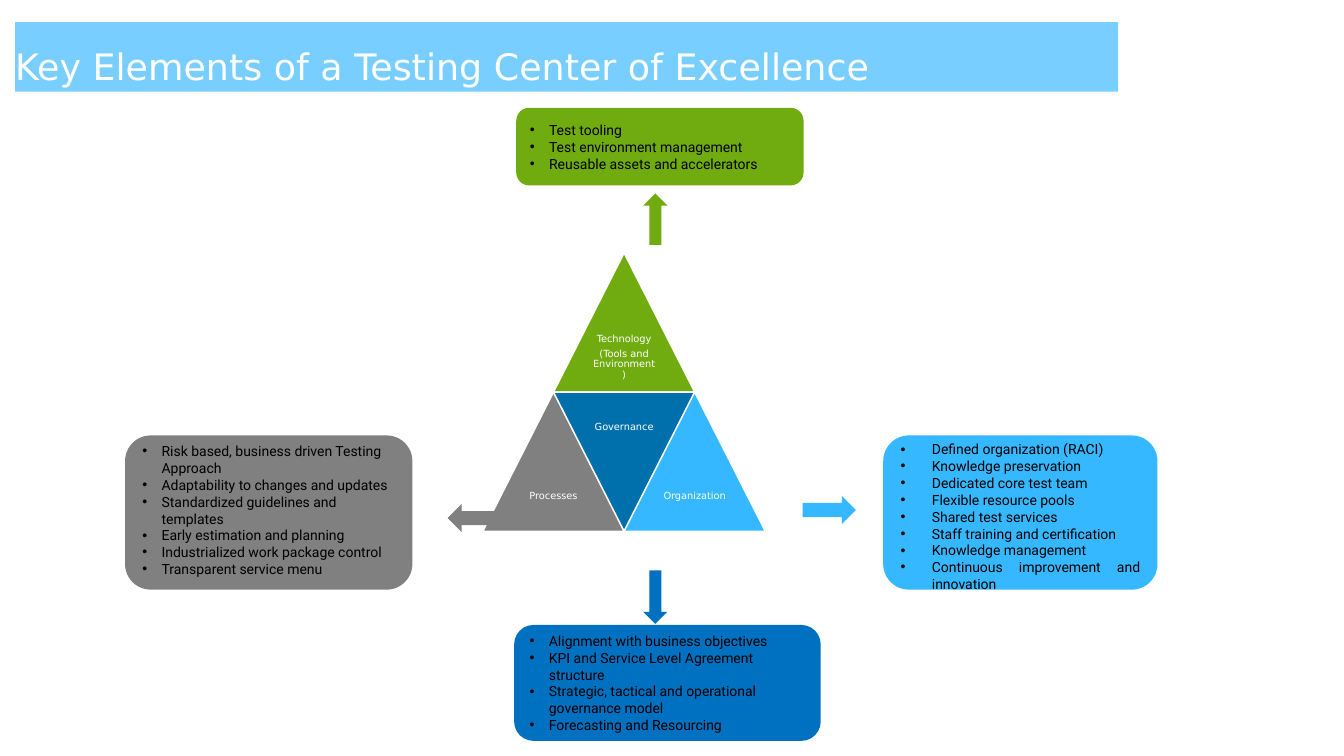
"""Builds the slide on the key elements of a testing center of excellence."""
from lxml.etree import SubElement
from pptx import Presentation
from pptx.dml.color import RGBColor
from pptx.enum.shapes import MSO_SHAPE as SHAPE
from pptx.enum.text import MSO_ANCHOR as ANCHOR, PP_ALIGN as ALIGN
from pptx.oxml.ns import qn
from pptx.util import Inches, Pt

WHITE = RGBColor(0xFF, 0xFF, 0xFF)
BLACK = RGBColor(0x00, 0x00, 0x00)
GREEN = RGBColor(0x70, 0xAC, 0x10)
GRAY = RGBColor(0x80, 0x80, 0x80)
NAVY = RGBColor(0x00, 0x70, 0xAD)
BLUE = RGBColor(0x00, 0x70, 0xC0)
SKY = RGBColor(0x35, 0xB8, 0xFF)
PALE = RGBColor(0x78, 0xCF, 0xFF)

PYRAMID_LEFT, PYRAMID_TOP = 4.79, 2.51
COLUMN, ROW = 0.7, 1.38

deck = Presentation()
deck.slide_width, deck.slide_height = Inches(13.33), Inches(7.5)
slide = deck.slides.add_slide(deck.slide_layouts[6])


def add_filled(kind, box, color):
    shape = slide.shapes.add_shape(kind, *map(Inches, box))
    shape.shadow.inherit = False
    shape.fill.solid()
    shape.fill.fore_color.rgb = color
    shape.line.fill.background()
    return shape


def style(paragraph, font_name, size, color, align):
    paragraph.alignment = align
    for run in paragraph.runs:
        run.font.name = font_name
        run.font.size = Pt(size)
        run.font.color.rgb = color


elements = [
    ("Technology\n(Tools and Environment)", 1, 0, GREEN, False),
    ("Processes", 0, 1, GRAY, False),
    ("Governance", 1, 1, NAVY, True),
    ("Organization", 2, 1, SKY, False),
]
for name, column, row, color, inverted in elements:
    left, top = PYRAMID_LEFT + column * COLUMN, PYRAMID_TOP + row * ROW
    triangle = add_filled(SHAPE.ISOSCELES_TRIANGLE, (left, top, 2 * COLUMN, ROW), color)
    triangle.rotation = 180 if inverted else 0
    triangle.line.color.rgb = WHITE
    triangle.line.width = Pt(1)

    label_top = top if inverted else top + ROW / 2
    label_box = (left + COLUMN / 2, label_top, COLUMN, ROW / 2)
    label = slide.shapes.add_textbox(*map(Inches, label_box)).text_frame
    label.word_wrap = True
    label.vertical_anchor = ANCHOR.MIDDLE
    label.margin_left = label.margin_right = Inches(0.03)
    label.margin_top = label.margin_bottom = Inches(0.03)
    label.text = name
    for paragraph in label.paragraphs:
        style(paragraph, "DejaVu Sans", 7, WHITE, ALIGN.CENTER)
        paragraph.line_spacing = 0.9
        paragraph.space_after = Pt(2.5)

arrows = [
    (SHAPE.LEFT_ARROW, (4.44, 5, 0.53, 0.28), GRAY),
    (SHAPE.RIGHT_ARROW, (7.96, 4.92, 0.53, 0.28), SKY),
    (SHAPE.UP_ARROW, (6.38, 1.92, 0.24, 0.51), GREEN),
    (SHAPE.DOWN_ARROW, (6.38, 5.66, 0.24, 0.53), BLUE),
]
for kind, box, color in arrows:
    add_filled(kind, box, color)

details = [
    ((1.24, 4.32, 2.85, 1.53), GRAY, 0.19, ALIGN.LEFT, 0, [
        "Risk based, business driven Testing Approach",
        "Adaptability to changes and updates",
        "Standardized guidelines and templates",
        "Early estimation and planning",
        "Industrialized work package control",
        "Transparent service menu",
    ]),
    ((8.76, 4.32, 2.72, 1.53), SKY, 0.31, ALIGN.JUSTIFY, 0.13, [
        "Defined organization (RACI)",
        "Knowledge preservation",
        "Dedicated core test team",
        "Flexible resource pools",
        "Shared test services",
        "Staff training and certification",
        "Knowledge management",
        "Continuous improvement and innovation",
    ]),
    ((5.12, 1.07, 2.85, 0.77), GREEN, 0.19, ALIGN.LEFT, 0.05, [
        "Test tooling",
        "Test environment management",
        "Reusable assets and accelerators",
    ]),
    ((5.1, 6.2, 3.04, 1.15), BLUE, 0.19, ALIGN.LEFT, 0.05, [
        "Alignment with business objectives",
        "KPI and Service Level Agreement structure",
        "Strategic, tactical and operational governance model",
        "Forecasting and Resourcing",
    ]),
]
for box, color, indent, align, top_margin, points in details:
    panel = add_filled(SHAPE.ROUNDED_RECTANGLE, box, color).text_frame
    panel.word_wrap = True
    panel.vertical_anchor = ANCHOR.MIDDLE
    panel.margin_top = Inches(top_margin)
    panel.text = "\n".join(points)
    for paragraph in panel.paragraphs:
        properties = paragraph._p.get_or_add_pPr()
        properties.set("marL", str(Inches(indent)))
        properties.set("indent", str(-Inches(indent)))
        SubElement(properties, qn("a:buFont"), typeface="Arial")
        SubElement(properties, qn("a:buChar"), char="•")
        style(paragraph, "Roboto", 10, BLACK, align)

title = add_filled(SHAPE.RECTANGLE, (0.15, 0.22, 10.94, 0.69), PALE).text_frame
title.word_wrap = True
title.vertical_anchor = ANCHOR.TOP
title.margin_left = title.margin_right = title.margin_top = title.margin_bottom = 0
title.text = "Key Elements of a Testing Center of Excellence"
heading = title.paragraphs[0]
style(heading, "DejaVu Sans", 26, WHITE, ALIGN.LEFT)
heading.line_spacing = 1.5

deck.save("out.pptx")
